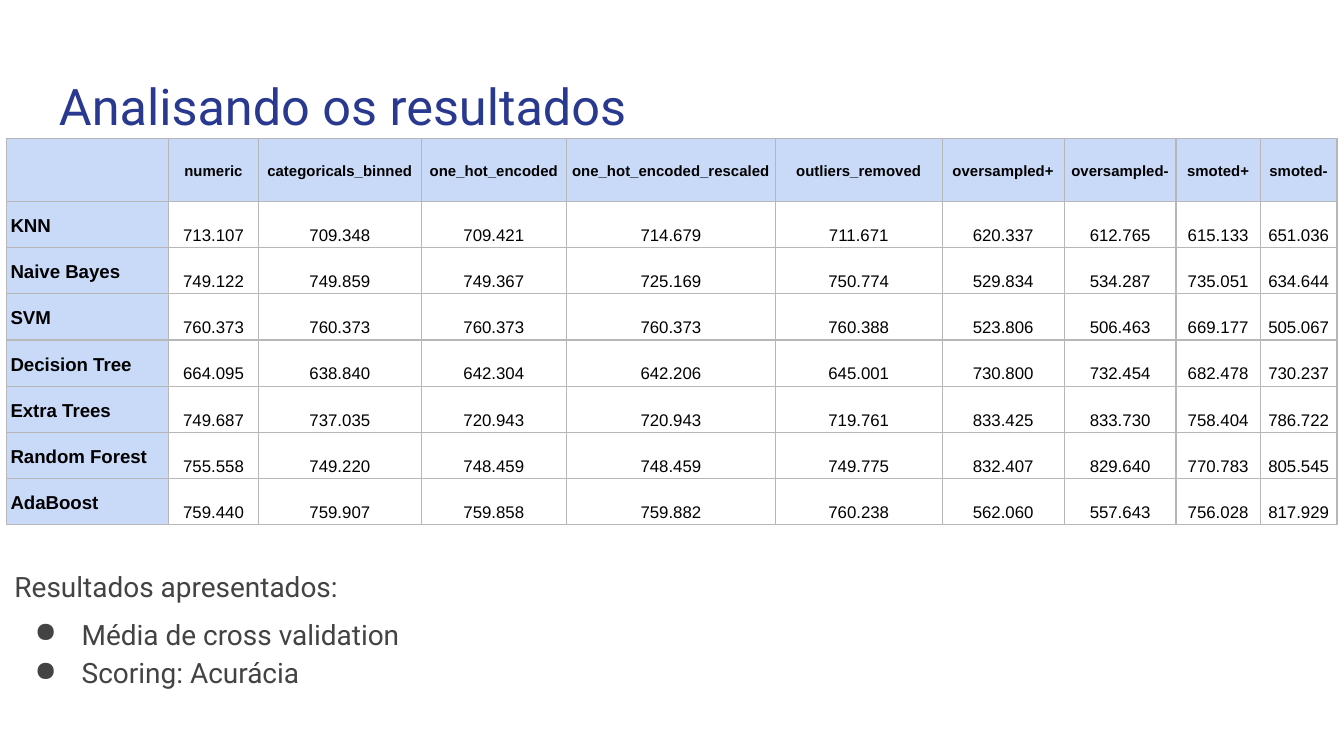
from lxml.etree import SubElement
from pptx import Presentation
from pptx.dml.color import RGBColor
from pptx.enum.text import MSO_ANCHOR as Anchor, PP_ALIGN as Align
from pptx.oxml.ns import qn
from pptx.util import Pt

TITLE_BLUE = RGBColor(0x2A, 0x39, 0x90)
BODY_GRAY = RGBColor(0x43, 0x43, 0x43)
HEADER_BLUE = RGBColor(0xC9, 0xDA, 0xF8)
BORDER_GRAY = RGBColor(0xB7, 0xB7, 0xB7)
BLACK = RGBColor(0, 0, 0)
WHITE = RGBColor(0xFF, 0xFF, 0xFF)

LINE_SPACING = 1.15
COLUMN_WIDTHS = [86.9, 48.2, 87.2, 77.8, 111.9, 89.4, 65.4, 59.9, 45.1, 41.2]
HEADER_HEIGHT = 33.75
ROW_HEIGHT = 24.75

DATASETS = ["", "numeric", "categoricals_binned", "one_hot_encoded",
            "one_hot_encoded_rescaled", "outliers_removed", "oversampled+",
            "oversampled-", "smoted+", "smoted-"]
SCORES = {
    "KNN": "713.107 709.348 709.421 714.679 711.671 620.337 612.765 615.133 651.036",
    "Naive Bayes": "749.122 749.859 749.367 725.169 750.774 529.834 534.287 735.051 634.644",
    "SVM": "760.373 760.373 760.373 760.373 760.388 523.806 506.463 669.177 505.067",
    "Decision Tree": "664.095 638.840 642.304 642.206 645.001 730.800 732.454 682.478 730.237",
    "Extra Trees": "749.687 737.035 720.943 720.943 719.761 833.425 833.730 758.404 786.722",
    "Random Forest": "755.558 749.220 748.459 748.459 749.775 832.407 829.640 770.783 805.545",
    "AdaBoost": "759.440 759.907 759.858 759.882 760.238 562.060 557.643 756.028 817.929",
}


def format_para(para, font, size, color, bold=False):
    for span in para.runs:
        span.font.name = font
        span.font.size = Pt(size)
        span.font.color.rgb = color
        span.font.bold = bold


def add_bullet(para):
    props = para._p.get_or_add_pPr()
    props.set("marL", str(Pt(36)))
    props.set("indent", str(Pt(-25.2)))
    color = SubElement(props, qn("a:buClr"))
    SubElement(color, qn("a:srgbClr"), val=str(BODY_GRAY))
    SubElement(props, qn("a:buChar"), char="●")


def add_text(page, left, top, width, height, lines, size, color, anchor=Anchor.TOP):
    box = page.shapes.add_textbox(Pt(left), Pt(top), Pt(width), Pt(height))
    frame = box.text_frame
    frame.word_wrap = True
    frame.vertical_anchor = anchor
    frame.margin_left = frame.margin_right = Pt(7.2)
    frame.margin_top = frame.margin_bottom = Pt(7.2)
    frame.text = "\n".join(lines)
    for para in frame.paragraphs:
        format_para(para, "Roboto", size, color)
    return frame


def add_borders(cell):
    props = cell._tc.get_or_add_tcPr()
    for side in ("a:lnL", "a:lnR", "a:lnT", "a:lnB"):
        line = SubElement(props, qn(side), w=str(Pt(0.75)))
        fill = SubElement(line, qn("a:solidFill"))
        SubElement(fill, qn("a:srgbClr"), val=str(BORDER_GRAY))


def fill_cell(cell, text, size, fill, bold, align, anchor):
    cell.margin_left = cell.margin_right = Pt(2.25)
    cell.margin_top = cell.margin_bottom = Pt(1.5)
    cell.vertical_anchor = anchor
    add_borders(cell)
    cell.fill.solid()
    cell.fill.fore_color.rgb = fill
    cell.text_frame.text = text
    para = cell.text_frame.paragraphs[0]
    para.alignment = align
    para.line_spacing = LINE_SPACING
    format_para(para, "Arial", size, BLACK, bold)


def add_score_table(page, left, top):
    rows = [DATASETS] + [[model, *scores.split()] for model, scores in SCORES.items()]
    heights = [HEADER_HEIGHT] + [ROW_HEIGHT] * len(SCORES)
    frame = page.shapes.add_table(len(rows), len(DATASETS), Pt(left), Pt(top),
                                  Pt(sum(COLUMN_WIDTHS)), Pt(sum(heights)))
    table = frame.table
    for column, width in zip(table.columns, COLUMN_WIDTHS):
        column.width = Pt(width)
    for row, height in zip(table.rows, heights):
        row.height = Pt(height)
    for i, values in enumerate(rows):
        for j, value in enumerate(values):
            cell = table.cell(i, j)
            if i == 0:
                fill_cell(cell, value, 8, HEADER_BLUE, True, Align.CENTER, Anchor.MIDDLE)
            elif j == 0:
                fill_cell(cell, value, 10, HEADER_BLUE, True, Align.LEFT, Anchor.MIDDLE)
            else:
                fill_cell(cell, value, 9, WHITE, False, Align.CENTER, Anchor.BOTTOM)


def main():
    deck = Presentation()
    deck.slide_width, deck.slide_height = Pt(720), Pt(405)
    page = deck.slides.add_slide(deck.slide_layouts[6])

    # Title
    add_text(page, 24.5, 32.4, 671, 47.5, ["Analisando os resultados"],
             27, TITLE_BLUE, Anchor.BOTTOM)

    # Scores by model and dataset
    add_score_table(page, 3.4, 74.2)

    # Notes on the results
    notes = add_text(page, 0.7, 295.2, 666.7, 80,
                     ["Resultados apresentados:", "Média de cross validation",
                      "Scoring: Acurácia"], 15, BODY_GRAY)
    for para in notes.paragraphs:
        para.line_spacing = LINE_SPACING
    notes.paragraphs[1].space_before = Pt(5)
    for para in notes.paragraphs[1:]:
        add_bullet(para)

    deck.save("out.pptx")


if __name__ == "__main__":
    main()
